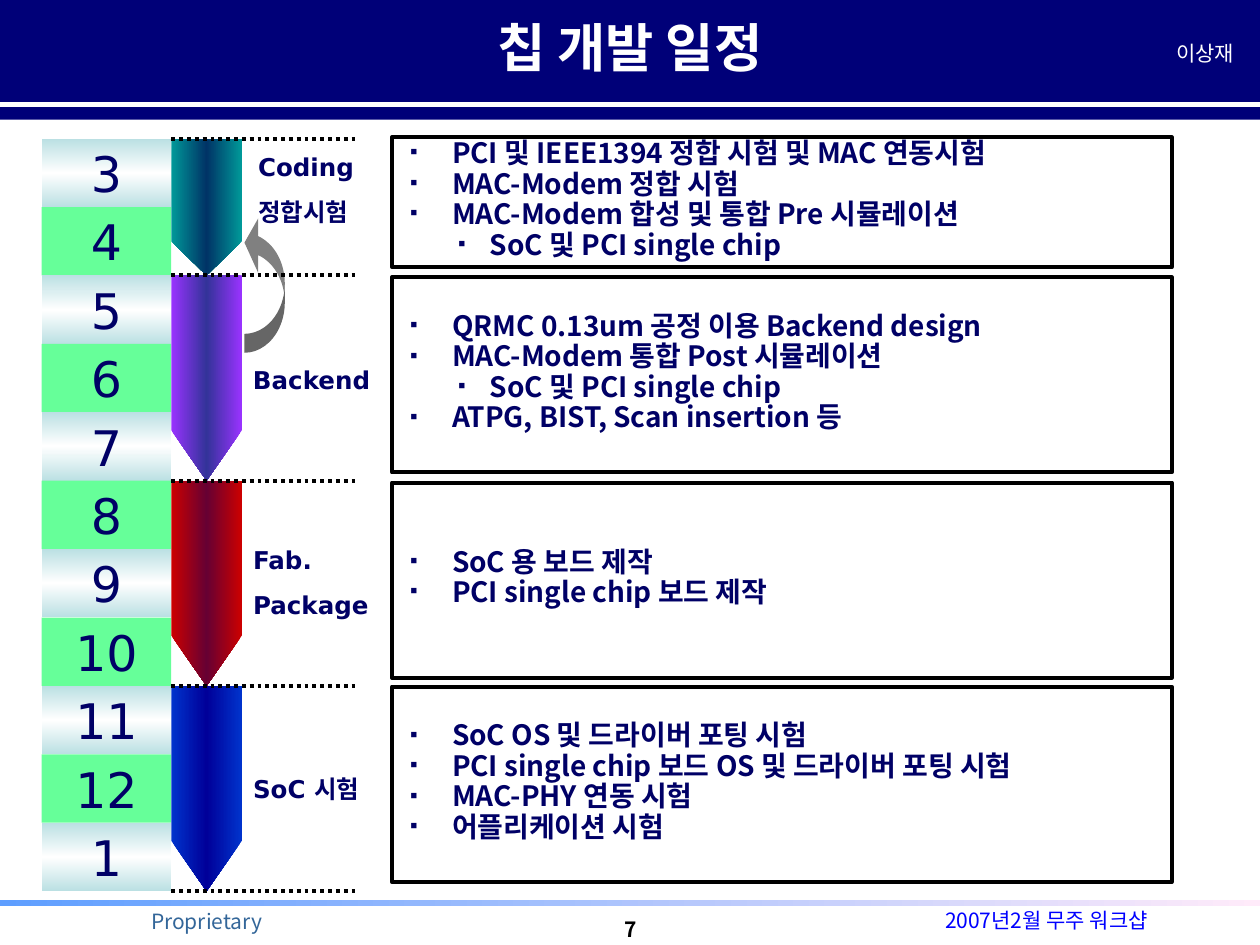
from pptx import Presentation, util as u
from pptx.dml.color import RGBColor
from pptx.enum import dml, shapes, text
from pptx.oxml import parse_xml
from pptx.oxml.ns import nsdecls, qn

NAVY = RGBColor(0x00, 0x00, 0x78)
INK = RGBColor(0x00, 0x00, 0x66)
WHITE = RGBColor(0xFF, 0xFF, 0xFF)
BLACK = RGBColor(0x00, 0x00, 0x00)
GRAY = RGBColor(0x80, 0x80, 0x80)
GREEN = RGBColor(0x66, 0xFF, 0x99)
MIST = RGBColor(0xBB, 0xE0, 0xE3)
SKY = RGBColor(0x5E, 0x9E, 0xFF)
PINK = RGBColor(0xFF, 0xEB, 0xFA)
LINK_BLUE = RGBColor(0x00, 0x00, 0xFF)
STEEL = RGBColor(0x33, 0x66, 0x99)
TEAL, DEEP_TEAL = RGBColor(0x00, 0x99, 0x99), RGBColor(0x00, 0x33, 0x66)
VIOLET, INDIGO = RGBColor(0x99, 0x33, 0xFF), RGBColor(0x33, 0x33, 0x99)
RED, WINE = RGBColor(0xCC, 0x00, 0x00), RGBColor(0x66, 0x00, 0x33)
BLUE, DEEP_BLUE = RGBColor(0x00, 0x33, 0xCC), RGBColor(0x00, 0x00, 0x99)

KOREAN, LATIN = "Noto Sans CJK KR", "DejaVu Sans"
LEFT, CENTER = text.PP_ALIGN.LEFT, text.PP_ALIGN.CENTER
TOP, MIDDLE = text.MSO_ANCHOR.TOP, text.MSO_ANCHOR.MIDDLE

MONTHS = [3, 4, 5, 6, 7, 8, 9, 10, 11, 12, 1]
MONTH_TOP, MONTH_HEIGHT = 1.1, 0.543
ARROW_LEFT, ARROW_WIDTH = 1.36, 0.56

# months, edge and centre colour, arrow tip, label place, label, box top and height, (level, task)
PHASES = [
    (2, TEAL, DEEP_TEAL, 0.27, (1.95, 1.16, 1.14, 0.69), ["Coding", "정합시험"], (1.09, 1.03),
     [(0, "PCI 및 IEEE1394 정합 시험 및 MAC 연동시험"), (0, "MAC-Modem 정합 시험"),
      (0, "MAC-Modem 합성 및 통합 Pre 시뮬레이션"), (1, "SoC 및 PCI single chip")]),
    (3, VIOLET, INDIGO, 0.4, (1.91, 2.85, 1.14, 0.33), ["Backend"], (2.2, 1.55),
     [(0, "QRMC 0.13um 공정 이용 Backend design"), (0, "MAC-Modem 통합 Post 시뮬레이션"),
      (1, "SoC 및 PCI single chip"), (0, "ATPG, BIST, Scan insertion 등")]),
    (3, RED, WINE, 0.4, (1.91, 4.28, 1.18, 0.69), ["Fab.", "Package"], (3.83, 1.55),
     [(0, "SoC 용 보드 제작"), (0, "PCI single chip 보드 제작")]),
    (3, BLUE, DEEP_BLUE, 0.4, (1.91, 6.09, 1.18, 0.33), ["SoC 시험"], (5.45, 1.55),
     [(0, "SoC OS 및 드라이버 포팅 시험"), (0, "PCI single chip 보드 OS 및 드라이버 포팅 시험"),
      (0, "MAC-PHY 연동 시험"), (0, "어플리케이션 시험")]),
]


class ScheduleSlide:
    def __init__(self, slide):
        self.slide = slide
        self.shapes = slide.shapes

    def paint(self, shape, fill=None, line=None):
        """Fill with one colour, or with a (angle, stops) gradient."""
        shape.shadow.inherit = False
        if fill is None:
            shape.fill.background()
        elif isinstance(fill, RGBColor):
            shape.fill.solid()
            shape.fill.fore_color.rgb = fill
        else:
            angle, colours = fill
            stops = "".join(
                f'<a:gs pos="{100000 * i // (len(colours) - 1)}"><a:srgbClr val="{colour}"/></a:gs>'
                for i, colour in enumerate(colours))
            shape.fill.background()
            blank = shape._element.spPr.find(qn("a:noFill"))
            blank.getparent().replace(blank, parse_xml(
                f'<a:gradFill {nsdecls("a")} rotWithShape="1"><a:gsLst>{stops}</a:gsLst>'
                f'<a:lin ang="{angle * 60000}" scaled="0"/></a:gradFill>'))
        if line is None:
            shape.line.fill.background()
        else:
            shape.line.color.rgb = line
            shape.line.width = u.Pt(2.25)
        return shape

    def preset(self, kind, place, fill=None, line=None):
        shape = self.shapes.add_shape(kind, *map(u.Inches, place))
        return self.paint(shape, fill, line)

    def rect(self, *place, fill=None, line=None):
        return self.preset(shapes.MSO_SHAPE.RECTANGLE, place, fill, line)

    def line(self, left, right, y, colour, width, dash=None):
        rule = self.shapes.add_connector(shapes.MSO_CONNECTOR.STRAIGHT, *map(u.Inches, (left, y, right, y)))
        rule.line.color.rgb = colour
        rule.line.width = u.Pt(width)
        if dash is not None:
            rule.line.dash_style = dash
        rule._element.spPr.append(parse_xml(f'<a:effectLst {nsdecls("a")}/>'))

    def down_arrow(self, top, bottom, tip, edge, centre):
        right, shoulder = ARROW_LEFT + ARROW_WIDTH, bottom - tip
        outline = self.shapes.build_freeform(u.Inches(ARROW_LEFT), u.Inches(top), scale=1.0)
        corners = [(right, top), (right, shoulder), (ARROW_LEFT + ARROW_WIDTH / 2, bottom), (ARROW_LEFT, shoulder)]
        outline.add_line_segments([(u.Inches(x), u.Inches(y)) for x, y in corners])
        self.paint(outline.convert_to_shape(), (0, [edge, centre, edge]))

    def feedback_arrow(self, *place):
        arrow = self.preset(shapes.MSO_SHAPE.CURVED_LEFT_ARROW, place, GRAY)
        for i, amount in enumerate((0.47, 1.35, 0.34)):
            arrow.adjustments[i] = amount
        arrow._element.spPr.find(qn("a:xfrm")).set("flipV", "1")

    def set_text(self, shape, lines, size, colour, font=KOREAN, bold=False, align=CENTER,
                 anchor=TOP, wrap=True, gap=0):
        frame = shape.text_frame
        frame.text = "\n".join(lines)
        frame.word_wrap = wrap
        frame.vertical_anchor = anchor
        for i, paragraph in enumerate(frame.paragraphs):
            paragraph.alignment = align
            paragraph.space_before = u.Pt(gap if i else 0)
            for run in paragraph.runs:
                run.font.size, run.font.bold, run.font.name = u.Pt(size), bold, font
                run.font.color.rgb = colour
                run.font._element.find(qn("a:latin")).addnext(
                    parse_xml(f'<a:ea {nsdecls("a")} typeface="{KOREAN}"/>'))
        return frame

    def label(self, place, lines, size, colour, **style):
        box = self.shapes.add_textbox(*map(u.Inches, place))
        return self.set_text(box, lines, size, colour, **style)

    def title(self, words, *place):
        heading = self.shapes.title
        heading.left, heading.top, heading.width, heading.height = map(u.Inches, place)
        self.set_text(heading, [words], 30, WHITE, bold=True, anchor=MIDDLE)
        self.shapes._spTree.append(heading._element)  # in front of the header band

    def task_box(self, top, height, tasks):
        box = self.rect(3.11, top, 6.19, height, line=BLACK)
        frame = self.set_text(box, [task for _, task in tasks], 16, INK, bold=True,
                              align=LEFT, anchor=MIDDLE, wrap=False, gap=4)
        for paragraph, (level, _) in zip(frame.paragraphs, tasks):
            paragraph.level = level
            paragraph.line_spacing = 0.7
            margin, indent = ((0.38, -0.38), (0.68, -0.3))[level]
            props = paragraph._p.get_or_add_pPr()
            props.set("marL", str(u.Inches(margin)))
            props.set("indent", str(u.Inches(indent)))
            for bullet in (f'<a:buClr {nsdecls("a")}><a:srgbClr val="{INK}"/></a:buClr>',
                           f'<a:buSzPct {nsdecls("a")} val="70000"/>',
                           f'<a:buFont {nsdecls("a")} typeface="{KOREAN}"/>',
                           f'<a:buChar {nsdecls("a")} char="▪"/>'):
                props.append(parse_xml(bullet))


def main():
    deck = Presentation()
    deck.slide_width, deck.slide_height = u.Inches(10), u.Inches(7.5)
    page = ScheduleSlide(deck.slides.add_slide(deck.slide_layouts[5]))

    page.rect(0, 0, 10, 0.95, fill=NAVY)
    page.line(0, 10, 0.83, WHITE, 3)
    page.rect(0, 7.14, 10, 0.05, fill=(0, [SKY, PINK]))
    page.label((4.67, 7.25, 0.67, 0.25), ["7"], 12, BLACK, bold=True, anchor=MIDDLE, wrap=False)
    page.label((7.3, 7.15, 2.01, 0.3), ["2007년2월 무주 워크샵"], 12, LINK_BLUE, wrap=False)
    page.label((1.08, 7.16, 1.12, 0.3), ["Proprietary"], 12, STEEL, wrap=False)
    presenter = page.label((9.13, 0.27, 0.87, 0.3), ["이상재"], 12, WHITE)
    presenter.margin_left = presenter.margin_right = 0
    page.title("칩 개발 일정", 0, 0.07, 10, 0.6)

    for i, month in enumerate(MONTHS):
        fill = GREEN if i % 2 else (90, [MIST, WHITE, MIST])
        cell = page.rect(0.33, MONTH_TOP + i * MONTH_HEIGHT, 1.03, MONTH_HEIGHT, fill=fill)
        page.set_text(cell, [str(month)], 28, INK, font=LATIN, anchor=MIDDLE, wrap=False)

    page.feedback_arrow(1.94, 1.71, 0.32, 1.09)
    top = MONTH_TOP
    boundaries = [top]
    for months, edge, centre, tip, label_place, label, (box_top, box_height), tasks in PHASES:
        bottom = top + months * MONTH_HEIGHT
        page.down_arrow(top, bottom, tip, edge, centre)
        page.task_box(box_top, box_height, tasks)
        page.label(label_place, label, 14, INK, font=LATIN, bold=True, align=LEFT, gap=8.8)
        boundaries.append(bottom)
        top = bottom
    for y in boundaries:
        page.line(ARROW_LEFT, 2.82, y, BLACK, 2.25, dml.MSO_LINE.ROUND_DOT)

    deck.save("out.pptx")


if __name__ == "__main__":
    main()
